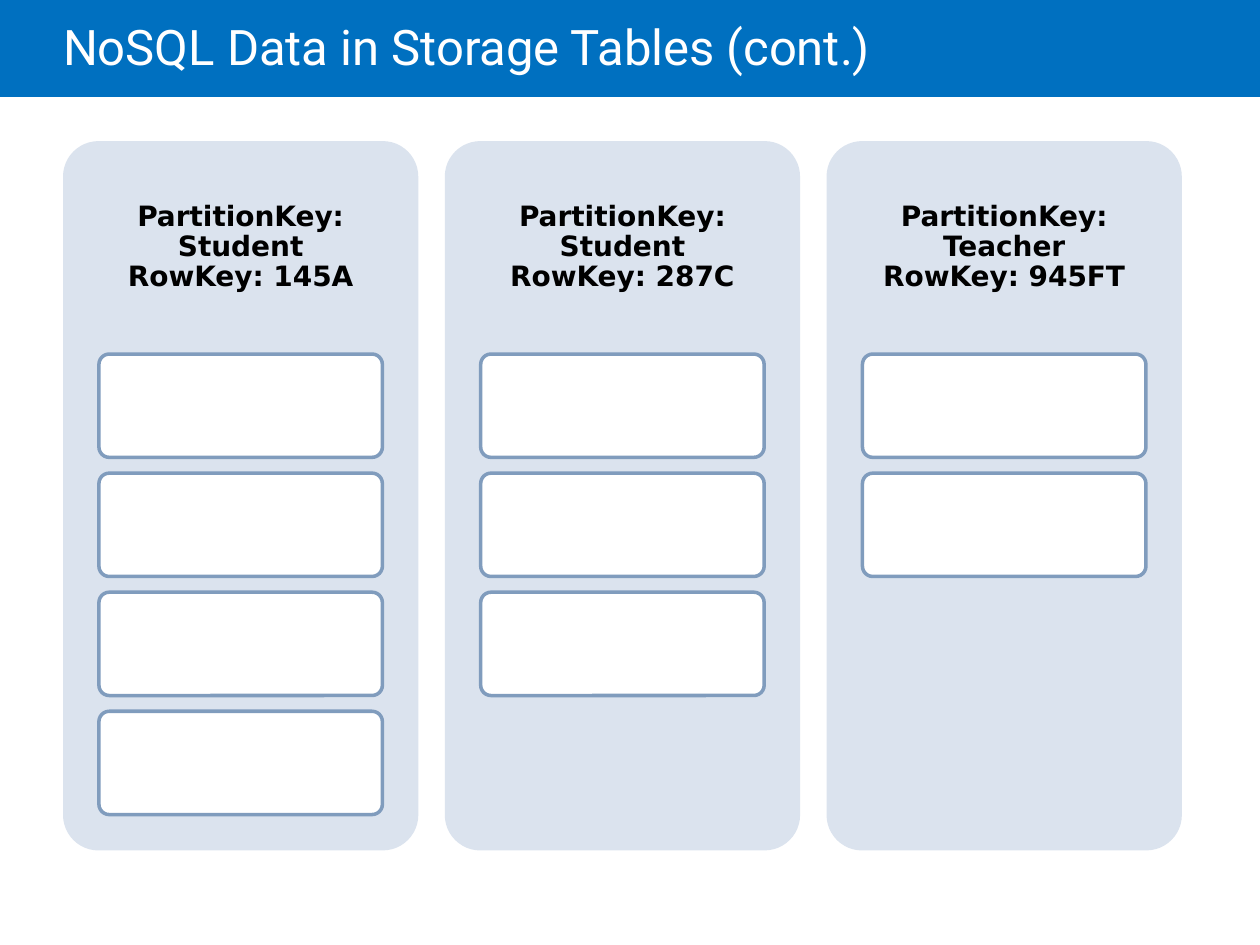
"""Build a slide showing storage table entities as columns of property boxes."""
import pptx
import pptx.dml.color
import pptx.enum.shapes
import pptx.enum.text
import pptx.util

Inches = pptx.util.Inches
Pt = pptx.util.Pt
SHAPES = pptx.enum.shapes.MSO_SHAPE
MIDDLE = pptx.enum.text.MSO_ANCHOR.MIDDLE
ALIGN = pptx.enum.text.PP_ALIGN

TITLE = "NoSQL Data in Storage Tables (cont.)"
ENTITIES = [
    ("Student", "145A", 4),
    ("Student", "287C", 3),
    ("Teacher", "945FT", 2),
]
COLORS = {
    "band": "0070C0",
    "panel": "DBE3EE",
    "box": "FFFFFF",
    "outline": "809CBD",
    "title": "FFFFFF",
    "heading": "000000",
}
PANEL_LEFT, PANEL_TOP, PANEL_WIDTH, PANEL_HEIGHT = 0.5, 1.12, 2.82, 5.63
PANEL_STEP = 3.03
HEADING_HEIGHT = 1.69
BOX_WIDTH, BOX_HEIGHT, BOX_STEP = 2.25, 0.82, 0.945


def color(name):
    return pptx.dml.color.RGBColor.from_string(COLORS[name])


def add_block(slide, kind, bounds, fill, outline=None):
    shape = slide.shapes.add_shape(kind, *map(Inches, bounds))
    shape.shadow.inherit = False
    shape.fill.solid()
    shape.fill.fore_color.rgb = color(fill)
    if kind == SHAPES.ROUNDED_RECTANGLE:
        shape.adjustments[0] = 0.1
    if outline:
        shape.line.color.rgb = color(outline)
        shape.line.width = Pt(2)
    else:
        shape.line.fill.background()
    return shape


def write_text(shape, text, margins, font_name, size, color_name, bold, alignment, spacing):
    frame = shape.text_frame
    frame.word_wrap = True
    frame.auto_size = pptx.enum.text.MSO_AUTO_SIZE.NONE
    frame.vertical_anchor = MIDDLE
    (frame.margin_left, frame.margin_top,
     frame.margin_right, frame.margin_bottom) = map(Inches, margins)
    frame.text = text
    paragraph = frame.paragraphs[0]
    paragraph.alignment = alignment
    paragraph.line_spacing = spacing
    paragraph.font.name = font_name
    paragraph.font.size = Pt(size)
    paragraph.font.bold = bold
    paragraph.font.color.rgb = color(color_name)


def add_title(slide):
    title = slide.shapes.title
    title.left, title.top, title.width, title.height = map(Inches, (0.5, 0, 8.5, 0.81))
    write_text(title, TITLE, (0, 0.05, 0.1, 0.05), "Roboto", 28, "title",
               False, ALIGN.LEFT, 0.85)
    band = add_block(slide, SHAPES.RECTANGLE, (0, 0, 10, 0.77), "band")
    title.element.addprevious(band.element)


def add_entity(slide, left, partition, row, box_count):
    add_block(slide, SHAPES.ROUNDED_RECTANGLE,
              (left, PANEL_TOP, PANEL_WIDTH, PANEL_HEIGHT), "panel")
    heading = slide.shapes.add_textbox(
        *map(Inches, (left, PANEL_TOP, PANEL_WIDTH, HEADING_HEIGHT)))
    write_text(heading, f"PartitionKey: {partition}\vRowKey: {row}", (0.07,) * 4,
               "DejaVu Sans", 16, "heading", True, ALIGN.CENTER, 0.9)
    box_left = left + (PANEL_WIDTH - BOX_WIDTH) / 2
    for index in range(box_count):
        box_top = PANEL_TOP + HEADING_HEIGHT + index * BOX_STEP
        add_block(slide, SHAPES.ROUNDED_RECTANGLE,
                  (box_left, box_top, BOX_WIDTH, BOX_HEIGHT), "box", "outline")


def main():
    presentation = pptx.Presentation()
    presentation.slide_width = Inches(10)
    presentation.slide_height = Inches(7.5)
    slide = presentation.slides.add_slide(presentation.slide_layouts[5])
    add_title(slide)
    for index, entity in enumerate(ENTITIES):
        add_entity(slide, PANEL_LEFT + index * PANEL_STEP, *entity)
    presentation.save("out.pptx")


if __name__ == "__main__":
    main()
